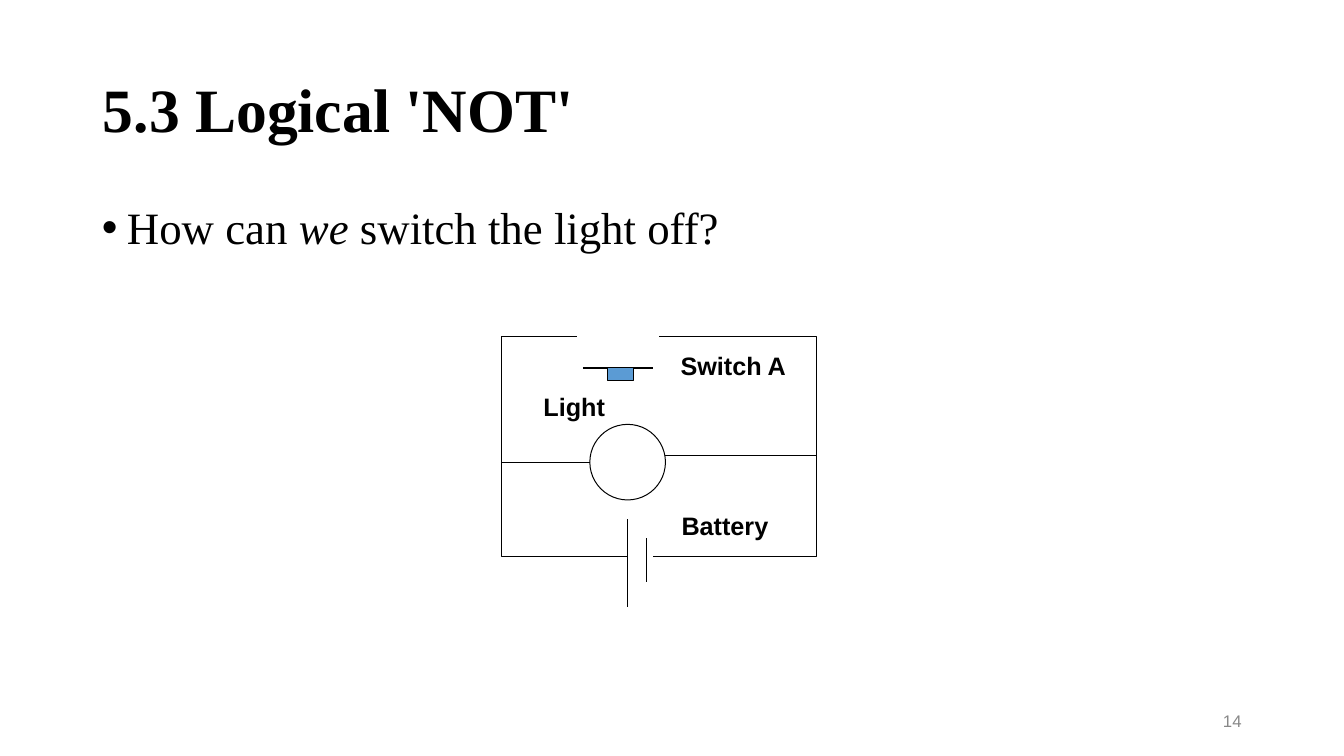
from lxml import etree
from pptx import Presentation
from pptx.dml.color import RGBColor
from pptx.enum.shapes import MSO_CONNECTOR, MSO_SHAPE
from pptx.enum.text import MSO_ANCHOR, PP_ALIGN
from pptx.oxml.ns import qn
from pptx.util import Inches, Pt

BLACK = RGBColor(0x00, 0x00, 0x00)
GRAY = RGBColor(0x88, 0x88, 0x88)
BUTTON_BLUE = RGBColor(0x5B, 0x9B, 0xD4)
STRAIGHT = MSO_CONNECTOR.STRAIGHT
OVAL, RECTANGLE = MSO_SHAPE.OVAL, MSO_SHAPE.RECTANGLE
TOP, LEFT = MSO_ANCHOR.TOP, PP_ALIGN.LEFT
SERIF, SANS = "Times New Roman", "Arial"
WIRE_WIDTH = 0.71
TITLE_ONLY = 5


def fill_text(frame, runs, font_name, size, color=BLACK, bold=False):
    """Write (text, italic) runs into a frame without insets."""
    frame.word_wrap = True
    frame.vertical_anchor = TOP
    frame.margin_left = frame.margin_top = frame.margin_right = frame.margin_bottom = 0
    paragraph = frame.paragraphs[0]
    paragraph.alignment = LEFT
    for text, italic in runs:
        run = paragraph.add_run()
        run.text = text
        font = run.font
        font.name, font.size, font.bold, font.italic = font_name, Pt(size), bold, italic
        font.color.rgb = color
    return paragraph


def add_text(slide, box, runs, *style, **options):
    textbox = slide.shapes.add_textbox(*(Inches(v) for v in box))
    return fill_text(textbox.text_frame, runs, *style, **options)


def add_title(slide, box):
    title = slide.shapes.title
    title.left, title.top, title.width, title.height = (Inches(v) for v in box)
    fill_text(title.text_frame, [("5.3 Logical 'NOT'", False)], SERIF, 44, bold=True)


def add_question(slide, box):
    runs = [("How can ", False), ("we ", True), ("switch the light off?", False)]
    paragraph = add_text(slide, box, runs, SERIF, 32)
    properties = paragraph._p.get_or_add_pPr()
    properties.set("marL", str(Inches(0.26)))
    properties.set("indent", str(-Inches(0.25)))
    etree.SubElement(properties, qn("a:buFont"), typeface=SANS)
    etree.SubElement(properties, qn("a:buChar"), char="•")


def add_wire(slide, x1, y1, x2, y2, width=WIRE_WIDTH):
    wire = slide.shapes.add_connector(STRAIGHT, *(Inches(v) for v in (x1, y1, x2, y2)))
    wire.line.color.rgb = BLACK
    wire.line.width = Pt(width)
    etree.SubElement(wire._element.spPr, qn("a:effectLst"))


def style_part(part, fill=None):
    part.shadow.inherit = False
    if fill is None:
        part.fill.background()
    else:
        part.fill.solid()
        part.fill.fore_color.rgb = fill
    part.line.color.rgb = BLACK
    part.line.width = Pt(WIRE_WIDTH)


def add_part(slide, preset, box, fill=None):
    style_part(slide.shapes.add_shape(preset, *(Inches(v) for v in box)), fill)


def add_wiring(slide, routes):
    """Join several open routes, each a list of points, in one outline."""
    routes = [[(Inches(x), Inches(y)) for x, y in route] for route in routes]
    builder = slide.shapes.build_freeform(*routes[0][0])
    for start, *points in routes:
        builder.move_to(*start)
        builder.add_line_segments(points, close=False)
    style_part(builder.convert_to_shape())


def add_circuit(slide, box):
    """Draw the loop with its open switch, the light across it and the battery."""
    left, top, width, height = box
    right, bottom = left + width, top + height
    lamp_size = 0.75
    lamp_left, lamp_top = left + 0.88, top + 0.87
    lamp_right, lamp_middle = lamp_left + lamp_size, lamp_top + lamp_size / 2
    right_wire_y = lamp_middle - 0.07
    long_plate, short_plate = left + 1.25, left + 1.44

    add_wire(slide, left, top, left + 0.75, top)
    add_wiring(slide, [
        [(left, top), (left, bottom), (long_plate, bottom)],
        [(left, lamp_middle), (lamp_left, lamp_middle)],
        [(lamp_right, right_wire_y), (right, right_wire_y)],
        [(long_plate, bottom - 0.37), (long_plate, bottom + 0.5)],
        [(short_plate, bottom - 0.18), (short_plate, bottom + 0.25)],
    ])
    add_wire(slide, left + 1.57, top, left + 2.63, top)
    add_wiring(slide, [
        [(left + 2.38, top), (right, top), (right, bottom), (left + 1.51, bottom)],
    ])
    add_part(slide, OVAL, (lamp_left, lamp_top, lamp_size, lamp_size))

    switch_y = top + 0.31
    add_wire(slide, left + 0.81, switch_y, left + 1.51, switch_y, width=1.25)
    add_part(slide, RECTANGLE, (left + 1.06, switch_y, 0.25, 0.13), BUTTON_BLUE)

    labels = [("Switch A", 1.78, 0.14), ("Light", 0.42, 0.54), ("Battery", 1.79, 1.72)]
    for label, dx, dy in labels:
        add_text(slide, (left + dx, top + dy, 1.2, 0.3), [(label, False)], SANS, 18, bold=True)


def add_page_number(slide, box):
    add_text(slide, box, [("14", False)], SANS, 12, color=GRAY)


def main():
    presentation = Presentation()
    presentation.slide_width, presentation.slide_height = Inches(13.33), Inches(7.5)
    slide = presentation.slides.add_slide(presentation.slide_layouts[TITLE_ONLY])
    add_title(slide, (1.02, 0.7, 5.28, 1.26))
    add_question(slide, (1, 1.98, 6.5, 0.55))
    add_circuit(slide, (4.97, 3.34, 3.13, 2.18))
    add_page_number(slide, (12.13, 7.05, 0.3, 0.2))
    presentation.save("out.pptx")


if __name__ == "__main__":
    main()
